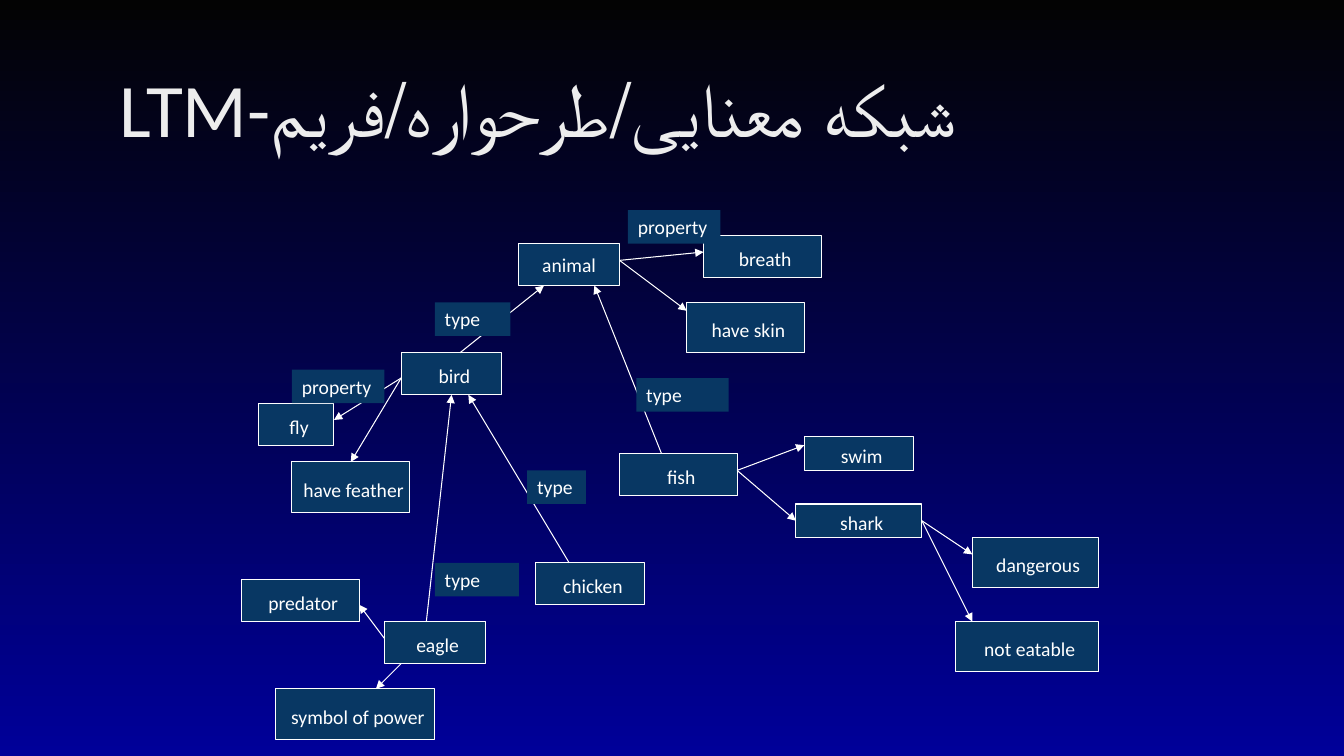
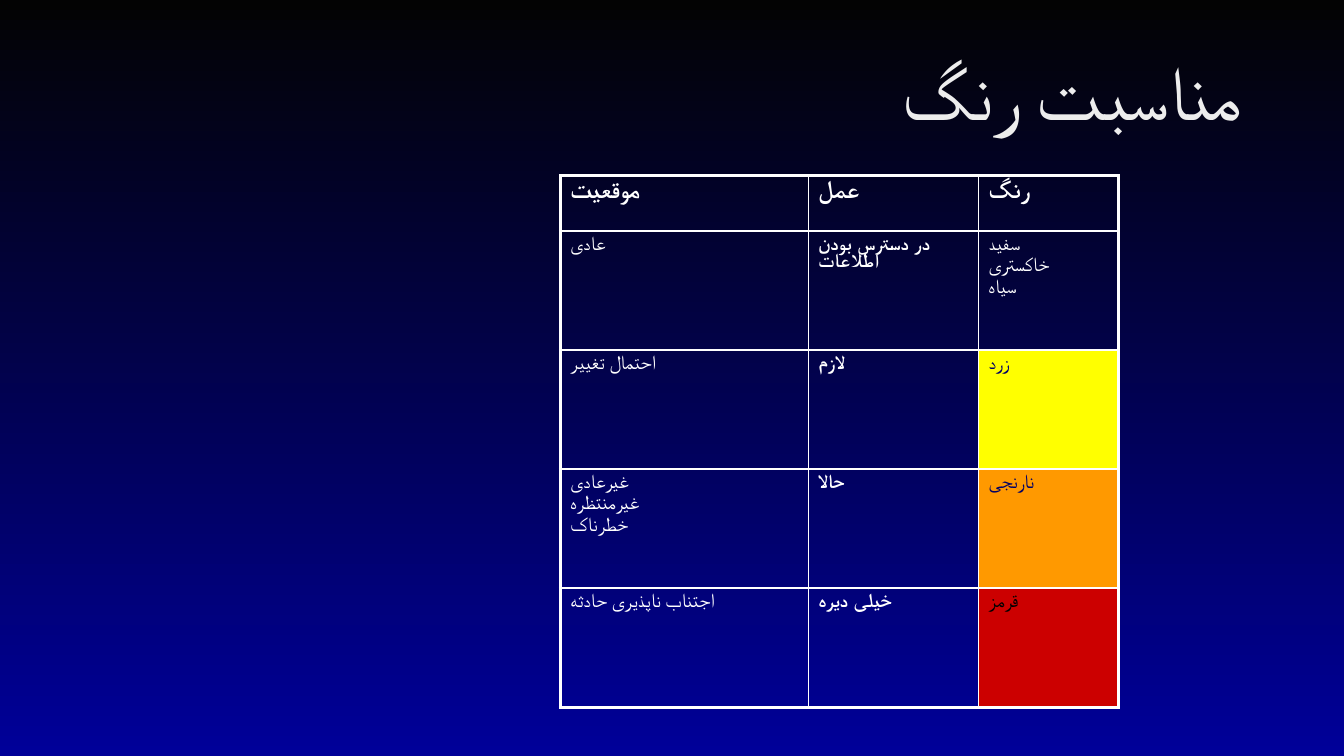
from dataclasses import dataclass

from lxml import etree
from pptx import Presentation
from pptx import slide as sl
from pptx import table as tb
from pptx import util as u
from pptx.dml.color import RGBColor
from pptx.enum import shapes, text
from pptx.oxml import ns
from pptx.shapes import autoshape as au
from pptx.text import text as tx


@dataclass(frozen=True)
class Theme:
    top: str = "030303"
    base: str = "000099"
    head: str = "EDEDED"
    white: str = "FFFFFF"
    navy: str = "083763"
    ink: str = "000066"
    black: str = "000000"
    yellow: str = "FFFF00"
    orange: str = "FF9900"
    red: str = "CC0000"
    face: str = "Calibri"
    grid: str = "Arial"
    title: float = 54
    large: float = 18
    small: float = 14
    thin: float = 0.75
    inner: float = 1
    outer: float = 2.25


@dataclass(frozen=True)
class Node:
    name: str
    x: int
    y: int
    w: int
    h: int
    lead: str = " "

    def sides(self) -> list[tuple[float, float]]:
        mid, half = self.x + self.w / 2, self.y + self.h / 2
        return [(mid, self.y), (self.x, half),
                (mid, self.y + self.h), (self.x + self.w, half)]


@dataclass(frozen=True)
class Edge:
    x: int
    y: int
    to_x: int
    to_y: int


@dataclass(frozen=True)
class Level:
    state: str
    act: str
    hue: str
    fill: str = ""
    ink: str = Theme.white


T = Theme()
UNIT = 2.54 / 12
SHIFT = -0.05
WIDE, HIGH = 33.87, 19.05

NODES = [
    Node("animal", 62, 29, 12, 5, ""),
    Node("breath", 84, 28, 14, 5),
    Node("have skin", 82, 36, 14, 6),
    Node("fish", 74, 54, 14, 5),
    Node("swim", 96, 52, 13, 4),
    Node("shark", 95, 60, 15, 4),
    Node("bird", 48, 42, 12, 5),
    Node("fly", 31, 48, 9, 5),
    Node("have feather", 35, 55, 14, 6),
    Node("eagle", 46, 74, 12, 5),
    Node("chicken", 64, 67, 13, 5),
    Node("predator", 29, 69, 14, 5),
    Node("symbol of power", 33, 82, 19, 6),
    Node("dangerous", 116, 64, 15, 6),
    Node("not eatable", 114, 74, 17, 6),
]

EDGES = [
    Edge(74, 31, 84, 30),
    Edge(74, 31, 82, 37),
    Edge(88, 56, 96, 53),
    Edge(88, 56, 95, 62),
    Edge(48, 45, 42, 55),
    Edge(48, 45, 40, 50),
    Edge(51, 74, 54, 47),
    Edge(68, 67, 56, 47),
    Edge(79, 54, 71, 34),
    Edge(55, 42, 65, 34),
    Edge(48, 79, 45, 82),
    Edge(46, 76, 43, 72),
    Edge(110, 62, 116, 66),
    Edge(110, 62, 116, 74),
]

TAGS = [
    Node("type", 52, 36, 9, 4),
    Node("type", 76, 45, 11, 4),
    Node("property", 35, 44, 11, 4),
    Node("type", 52, 67, 10, 4),
    Node("type", 63, 56, 7, 4),
    Node("property", 75, 25, 11, 4),
]

HEADS = Level("موقعیت", "عمل", "رنگ")
LEVELS = [
    Level("عادی", "در دسترس بودن اطلاعات", "سفید\nخاکستری\nسیاه"),
    Level("احتمال تغییر", "لازم", "زرد", T.yellow, T.ink),
    Level("غیرعادی\nغیرمنتظره\nخطرناک", "حالا", "نارنجی", T.orange, T.ink),
    Level("اجتناب ناپذیری حادثه", "خیلی دیره", "قرمز", T.red, T.black),
]
COLS = [6.25, 4.29, 3.53]
ROWS = [1.4] + [3.0] * len(LEVELS)


def rgb(hue: str) -> RGBColor:
    return RGBColor.from_string(hue)


def style(item: object, form: dict[str, object]) -> None:
    for key, value in form.items():
        setattr(item, key, value)


def write(para: tx._Paragraph, words: str, size: float, hue: str = T.white,
          face: str = T.face, bold: bool = False) -> None:
    run = para.add_run()
    run.text = words
    style(run.font, {"name": face, "size": u.Pt(size), "bold": bold})
    run.font.color.rgb = rgb(hue)


def across(n: float) -> u.Length:
    return u.Cm(n * UNIT + SHIFT)


def down(n: float) -> u.Length:
    return u.Cm(n * UNIT)


def start(deck: object, words: str, high: float,
          align: text.PP_ALIGN) -> sl.Slide:
    page = deck.slides.add_slide(deck.slide_layouts[6])
    fill = page.background.fill
    fill.gradient()
    fill.gradient_angle = 270
    for stop, hue in zip(fill.gradient_stops, (T.top, T.base)):
        stop.color.rgb = rgb(hue)
    box = page.shapes.add_textbox(u.Cm(2.34), u.Cm(1.02), u.Cm(29.21), u.Cm(high))
    style(box.text_frame, {"word_wrap": True,
                           "vertical_anchor": text.MSO_ANCHOR.MIDDLE})
    para = box.text_frame.paragraphs[0]
    style(para, {"alignment": align, "line_spacing": 0.9})
    write(para, words, T.title, T.head)
    return page


def block(page: sl.Slide, node: Node, form: dict[str, object],
          align: text.PP_ALIGN) -> au.Shape:
    rect = page.shapes.add_shape(shapes.MSO_SHAPE.RECTANGLE, across(node.x),
                                 down(node.y), down(node.w), down(node.h))
    rect.shadow.inherit = False
    rect.fill.solid()
    rect.fill.fore_color.rgb = rgb(T.navy)
    style(rect.text_frame, form)
    rect.text_frame.paragraphs[0].alignment = align
    return rect


def box(page: sl.Slide, node: Node) -> au.Shape:
    form = {"word_wrap": False, "vertical_anchor": text.MSO_ANCHOR.MIDDLE}
    rect = block(page, node, form, text.PP_ALIGN.CENTER)
    rect.line.color.rgb = rgb(T.white)
    rect.line.width = u.Pt(T.thin)
    para = rect.text_frame.paragraphs[0]
    if node.lead:
        write(para, node.lead, T.large)
    write(para, node.name, T.small)
    return rect


def tag(page: sl.Slide, node: Node) -> None:
    form = {"word_wrap": True, "vertical_anchor": text.MSO_ANCHOR.TOP}
    rect = block(page, node, form, text.PP_ALIGN.LEFT)
    rect.line.fill.background()
    write(rect.text_frame.paragraphs[0], node.name, T.small)


def arrow(page: sl.Slide, edge: Edge,
          ports: dict[tuple[float, float], tuple[au.Shape, int]]) -> None:
    line = page.shapes.add_connector(
        shapes.MSO_CONNECTOR.STRAIGHT, across(edge.x), down(edge.y),
        across(edge.to_x), down(edge.to_y))
    line.line.color.rgb = rgb(T.white)
    line.line.width = u.Pt(T.thin)
    etree.SubElement(line.line._get_or_add_ln(), ns.qn("a:tailEnd"), type="triangle")
    etree.SubElement(line._element.spPr, ns.qn("a:effectLst"))
    for join, port in ((line.begin_connect, (edge.x, edge.y)),
                       (line.end_connect, (edge.to_x, edge.to_y))):
        if port in ports:
            join(*ports[port])


def border(cell: tb._Cell, row: int, col: int) -> None:
    rims = {"L": col == 0, "R": col == len(COLS) - 1,
            "T": row == 0, "B": row == len(ROWS) - 1}
    props = cell._tc.get_or_add_tcPr()
    for side, rim in rims.items():
        width = u.Pt(T.outer if rim else T.inner)
        line = etree.SubElement(props, ns.qn(f"a:ln{side}"), w=str(int(width)))
        fill = etree.SubElement(line, ns.qn("a:solidFill"))
        etree.SubElement(fill, ns.qn("a:srgbClr"), val=T.white)


def fill_cell(cell: tb._Cell, words: str, size: float, bold: bool,
              hue: str, back: str) -> None:
    if back:
        cell.fill.solid()
        cell.fill.fore_color.rgb = rgb(back)
    else:
        cell.fill.background()
    for n, part in enumerate(words.split("\n")):
        frame = cell.text_frame
        para = frame.add_paragraph() if n else frame.paragraphs[0]
        style(para, {"line_spacing": 0.9, "space_before": u.Pt(0.2 * size if n else 0)})
        write(para, part, size, hue, T.grid, bold)


def network(deck: object) -> None:
    page = start(deck, " LTM-شبکه معنایی/طرحواره/فریم", 3.68, text.PP_ALIGN.LEFT)
    ports = {}
    for node in NODES:
        rect = box(page, node)
        ports.update({port: (rect, n) for n, port in enumerate(node.sides())})
    for edge in EDGES:
        arrow(page, edge, ports)
    for node in TAGS:
        tag(page, node)


def colors(deck: object) -> None:
    page = start(deck, "مناسبت رنگ", 2.79, text.PP_ALIGN.RIGHT)
    grid = page.shapes.add_table(len(ROWS), len(COLS), u.Cm(14.12), u.Cm(4.42),
                                 u.Cm(sum(COLS)), u.Cm(sum(ROWS))).table
    style(grid, {"first_row": False, "horz_banding": False})
    for col, width in zip(grid.columns, COLS):
        col.width = u.Cm(width)
    for row, high in zip(grid.rows, ROWS):
        row.height = u.Cm(high)
    for r, level in enumerate([HEADS, *LEVELS]):
        size = T.small if r else T.large
        for c, words in enumerate((level.state, level.act, level.hue)):
            cell = grid.cell(r, c)
            border(cell, r, c)
            hue, back = (level.ink, level.fill) if c == 2 else (T.white, "")
            fill_cell(cell, words, size, r == 0 or c == 1, hue, back)


def main() -> None:
    deck = Presentation()
    style(deck, {"slide_width": u.Cm(WIDE), "slide_height": u.Cm(HIGH)})
    network(deck)
    colors(deck)
    deck.save("out.pptx")


if __name__ == "__main__":
    main()
